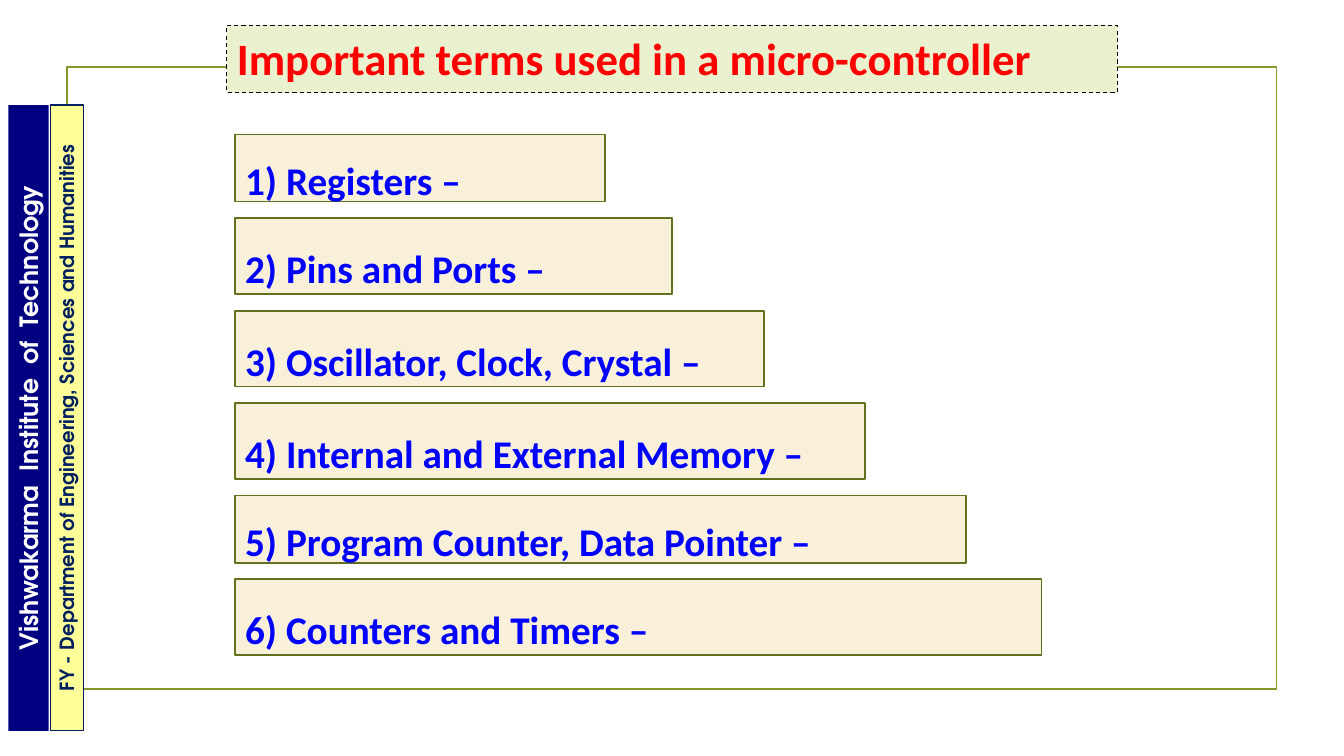
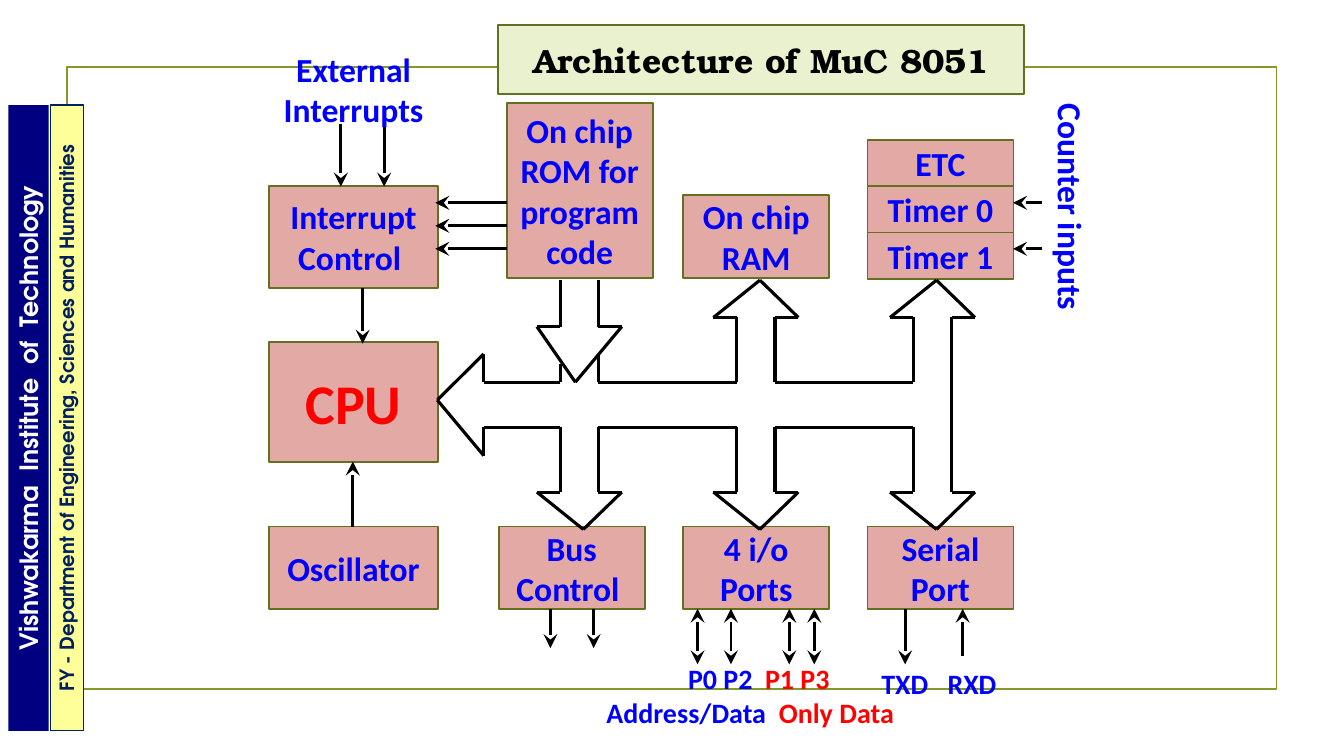
"""Build two slides on micro-controller terms and the 8051 architecture."""
from itertools import accumulate, pairwise

from lxml.etree import SubElement
from pptx import Presentation
from pptx.dml.color import RGBColor
from pptx.enum.dml import MSO_LINE_DASH_STYLE as Dash
from pptx.enum.shapes import MSO_CONNECTOR as Connector, MSO_SHAPE as Shape
from pptx.enum.text import MSO_ANCHOR as Anchor, PP_ALIGN as Align
from pptx.oxml.ns import qn
from pptx.util import Cm, Pt

BLACK = RGBColor(0x00, 0x00, 0x00)
WHITE = RGBColor(0xFF, 0xFF, 0xFF)
BLUE = RGBColor(0x00, 0x00, 0xFF)
RED = RGBColor(0xFF, 0x00, 0x00)
NAVY = RGBColor(0x00, 0x00, 0x80)
DARK_BLUE = RGBColor(0x00, 0x20, 0x60)
YELLOW = RGBColor(0xFF, 0xFF, 0x99)
FRAME_GREEN = RGBColor(0x83, 0x99, 0x2A)
OLIVE = RGBColor(0x61, 0x71, 0x1F)
PALE_GREEN = RGBColor(0xEA, 0xF1, 0xCE)
CREAM = RGBColor(0xF8, 0xF0, 0xD9)
PINK = RGBColor(0xE3, 0xAA, 0xA5)

BODY_FONT, BAND_FONT, SERIF_FONT = "Calibri", "TeX Gyre Adventor", "TeX Gyre Bonum"

FRAME = (1.69, 1.69, 30.48, 15.67)
BAND_LENGTH, BAND_MIDDLE = 15.77, 10.53
BANDS = [
    ("Vishwakarma  Institute  of  Technology", 0.72, 1.02, NAVY, None, WHITE, 18),
    ("FY - Department of Engineering, Sciences and Humanities",
     1.69, 0.85, YELLOW, DARK_BLUE, DARK_BLUE, 14),
]

TERMS_LEFT, TERMS_TOP, TERMS_GAP = 5.93, 3.39, 0.42
TERMS = [
    ("1) Registers –", 9.31, 1.69),
    ("2) Pins and Ports –", 11, 1.91),
    ("3) Oscillator, Clock, Crystal –", 13.33, 1.91),
    ("4) Internal and External Memory –", 15.88, 1.91),
    ("5) Program Counter, Data Pointer –", 18.42, 1.69),
    ("6) Counters and Timers –", 20.32, 1.91),
]

CPU_COLUMN, BUS_COLUMN, PORT_COLUMN, TIMER_COLUMN = 6.78, 12.57, 17.22, 21.86
CPU_WIDTH, UNIT_WIDTH, UNIT_HEIGHT, TIMER_HEIGHT = 4.26, 3.68, 2.08, 1.17
BOTTOM_ROW, TIMER_TOP = 13.27, 3.52
BLOCKS = [
    ("Interrupt Control ", CPU_COLUMN, 4.68, CPU_WIDTH, 2.57),
    ("Oscillator", CPU_COLUMN, BOTTOM_ROW, CPU_WIDTH, UNIT_HEIGHT),
    ("Bus Control ", BUS_COLUMN, BOTTOM_ROW, UNIT_WIDTH, UNIT_HEIGHT),
    ("4 i/o Ports", PORT_COLUMN, BOTTOM_ROW, UNIT_WIDTH, UNIT_HEIGHT),
    ("Serial Port", TIMER_COLUMN, BOTTOM_ROW, UNIT_WIDTH, UNIT_HEIGHT),
    ("On chip RAM", PORT_COLUMN, 4.92, UNIT_WIDTH, UNIT_HEIGHT),
    ("On chip ROM for program code", 12.77, 2.59, UNIT_WIDTH, 4.42),
]
TIMERS = ["ETC", "Timer 0", "Timer 1"]
PIN_LABELS = [
    ("P0 P2", 17.34, 16.67, BLUE),
    ("P1 P3", 19.28, 16.67, RED),
    ("Address/Data", 15.28, 17.53, BLUE),
    ("Only Data", 19.63, 17.53, RED),
    ("TXD", 22.21, 16.8, BLUE),
    ("RXD", 23.88, 16.8, BLUE),
]

PIN_TOP, PIN_BOTTOM = 15.34, 16.74
VERTICAL_ARROWS = [
    (8.59, 3.12, 4.7), (9.68, 3.12, 4.7), (9.14, 7.26, 8.66),
    (8.89, BOTTOM_ROW, 11.63),
    (13.87, PIN_TOP, 16.33), (14.96, PIN_TOP, 16.33),
    (22.81, PIN_TOP, PIN_BOTTOM), (24.26, 16.54, PIN_TOP),
]
HORIZONTAL_ARROWS = [
    (5.11, 12.78, 10.97), (5.69, 12.78, 10.97), (6.27, 12.78, 10.97),
    (5.11, 26.26, 25.53), (6.27, 26.26, 25.53),
]
PORT_ARROWS = [17.58, 18.42, 19.89, 20.52]

BUS_CENTRES = ROM_X, RAM_X, TIMER_X = 14.6, 19.05, 23.5
BUS_TOP, BUS_BOTTOM = 9.63, 10.77
STEM, HEAD, TIP_SHIFT = 0.48, 1.07, 0.1
UPPER_TIP, UPPER_SHOULDER = 7.06, 8
LOWER_SHOULDER, LOWER_TIP = 12.4, 13.34


def add_text(shape, text, size=24, color=BLUE, font=BODY_FONT, align=Align.CENTER,
             anchor=Anchor.MIDDLE, line_spacing=None, space_after=None, margin=None):
    frame = shape.text_frame
    frame.word_wrap = True
    frame.vertical_anchor = anchor
    if margin is not None:
        frame.margin_left = frame.margin_right = Cm(margin)
        frame.margin_top = frame.margin_bottom = Cm(margin)
    paragraph = frame.paragraphs[0]
    paragraph.alignment = align
    paragraph.line_spacing = line_spacing
    paragraph.space_after = space_after
    run = paragraph.add_run()
    run.text = text
    run.font.name, run.font.size, run.font.bold = font, Pt(size), True
    run.font.color.rgb = color


def add_box(slide, place, text=None, fill=None, line=OLIVE, width=1.25, **text_format):
    box = slide.shapes.add_shape(Shape.RECTANGLE, *map(Cm, place))
    box.shadow.inherit = False
    if fill is None:
        box.fill.background()
    else:
        box.fill.solid()
        box.fill.fore_color.rgb = fill
    if line is None:
        box.line.fill.background()
    else:
        box.line.color.rgb = line
        box.line.width = Pt(width)
    if text:
        add_text(box, text, **text_format)
    return box


def add_label(slide, place, text, **text_format):
    label = slide.shapes.add_textbox(*map(Cm, place))
    add_text(label, text, **text_format)
    return label


def add_line(slide, start, end, width=2, heads=("tailEnd",)):
    line = slide.shapes.add_connector(Connector.STRAIGHT, *map(Cm, start + end))
    line.line.color.rgb = BLACK
    line.line.width = Pt(width)
    properties = line._element.spPr
    outline = properties.find(qn("a:ln"))
    for name in heads:
        SubElement(outline, qn(f"a:{name}"), type="stealth", w="lg", len="lg")
    SubElement(properties, qn("a:effectLst"))


def add_outline(slide, points):
    for start, end in pairwise(points):
        add_line(slide, start, end, width=2.25, heads=())


def arrow_head(centre, stem_end, shoulder, tip, shift=TIP_SHIFT):
    return [(centre - STEM, stem_end), (centre - STEM, shoulder),
            (centre - HEAD, shoulder), (centre + shift, tip),
            (centre + HEAD, shoulder), (centre + STEM, shoulder),
            (centre + STEM, stem_end)]


def bus_outline():
    lower = [(ROM_X - STEM, 9.17), (ROM_X - STEM, BUS_TOP),
             (12.19, BUS_TOP), (12.19, 8.92), (11.02, 10.08),
             (12.19, 11.48), (12.19, BUS_BOTTOM)]
    for centre in BUS_CENTRES:
        lower += arrow_head(centre, BUS_BOTTOM, LOWER_SHOULDER, LOWER_TIP)
    upper = []
    for centre in (TIMER_X, RAM_X):
        upper += reversed(arrow_head(centre, BUS_TOP, UPPER_SHOULDER, UPPER_TIP))
    return lower[:-1] + upper[1:] + [(ROM_X + STEM, BUS_TOP), (ROM_X + STEM, 8.92)]


def add_framed_slide(presentation):
    slide = presentation.slides.add_slide(presentation.slide_layouts[6])
    add_box(slide, FRAME, line=FRAME_GREEN)
    for text, centre, thickness, fill, line, color, size in BANDS:
        place = (centre - BAND_LENGTH / 2, BAND_MIDDLE - thickness / 2,
                 BAND_LENGTH, thickness)
        band = add_box(slide, place, text, fill, line, 0.75,
                       size=size, color=color, font=BAND_FONT)
        band.rotation = 270
    return slide


def add_terms_slide(presentation):
    slide = add_framed_slide(presentation)
    title = add_box(slide, (5.72, 0.64, 22.44, 1.7),
                    "Important terms used in a micro-controller", PALE_GREEN, BLACK, 0.75,
                    size=32, color=RED, align=Align.LEFT, anchor=Anchor.TOP,
                    space_after=Pt(10))
    title.line.dash_style = Dash.DASH
    tops = accumulate((height + TERMS_GAP for _, _, height in TERMS), initial=TERMS_TOP)
    for (text, width, height), top in zip(TERMS, tops):
        add_box(slide, (TERMS_LEFT, top, width, height), text, CREAM,
                size=28, align=Align.LEFT, line_spacing=1.5)


def add_architecture_slide(presentation):
    slide = add_framed_slide(presentation)
    add_box(slide, (12.55, 0.64, 13.26, 1.74), "Architecture of MuC 8051", PALE_GREEN,
            color=BLACK, font=SERIF_FONT)
    for text, *place in BLOCKS:
        add_box(slide, place, text, PINK)
    add_box(slide, (CPU_COLUMN, 8.62, CPU_WIDTH, 3.02), "CPU", PINK, size=40, color=RED)
    for row, text in enumerate(TIMERS):
        top = TIMER_TOP + row * TIMER_HEIGHT
        add_box(slide, (TIMER_COLUMN, top, UNIT_WIDTH, TIMER_HEIGHT), text, PINK)

    add_outline(slide, bus_outline())
    add_outline(slide, arrow_head(ROM_X, UPPER_TIP, 8.23, BUS_TOP, -TIP_SHIFT))
    for x, start, end in VERTICAL_ARROWS:
        add_line(slide, (x, start), (x, end))
    for y, start, end in HORIZONTAL_ARROWS:
        add_line(slide, (start, y), (end, y))
    for x in PORT_ARROWS:
        add_line(slide, (x, PIN_TOP), (x, PIN_BOTTOM), heads=("headEnd", "tailEnd"))

    add_label(slide, (CPU_COLUMN, 0.96, CPU_WIDTH, 2.57), "External Interrupts")
    counter_label = add_label(slide, (23.75, 4.49, 6.5, 1.45), "Counter inputs")
    counter_label.rotation = 90
    for text, left, top, color in PIN_LABELS:
        add_label(slide, (left, top, 4.5, 0.85), text, size=20, color=color,
                  align=Align.LEFT, margin=0)


def main():
    presentation = Presentation()
    presentation.slide_width, presentation.slide_height = Cm(33.87), Cm(19.05)
    add_terms_slide(presentation)
    add_architecture_slide(presentation)
    presentation.save("out.pptx")


if __name__ == "__main__":
    main()
